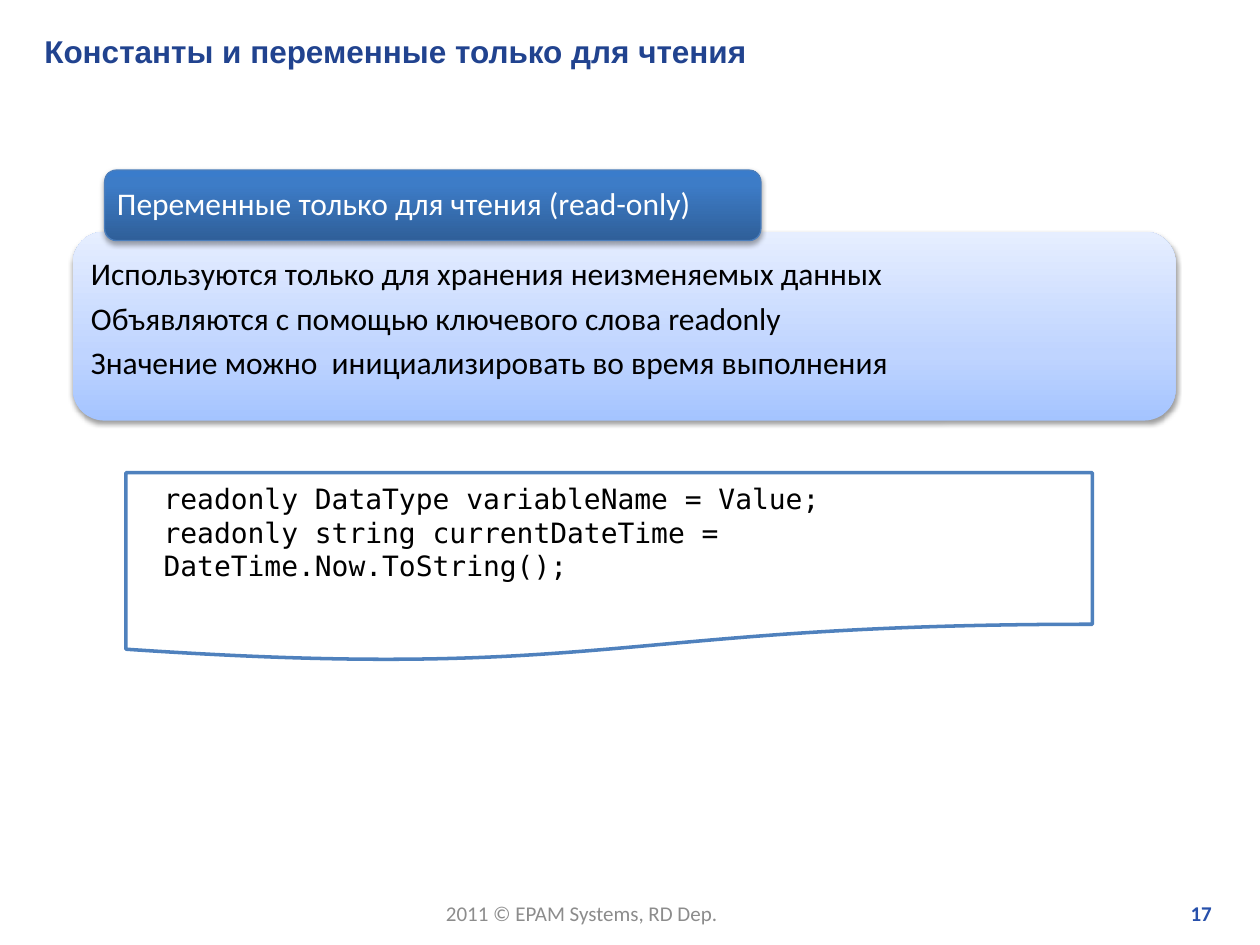
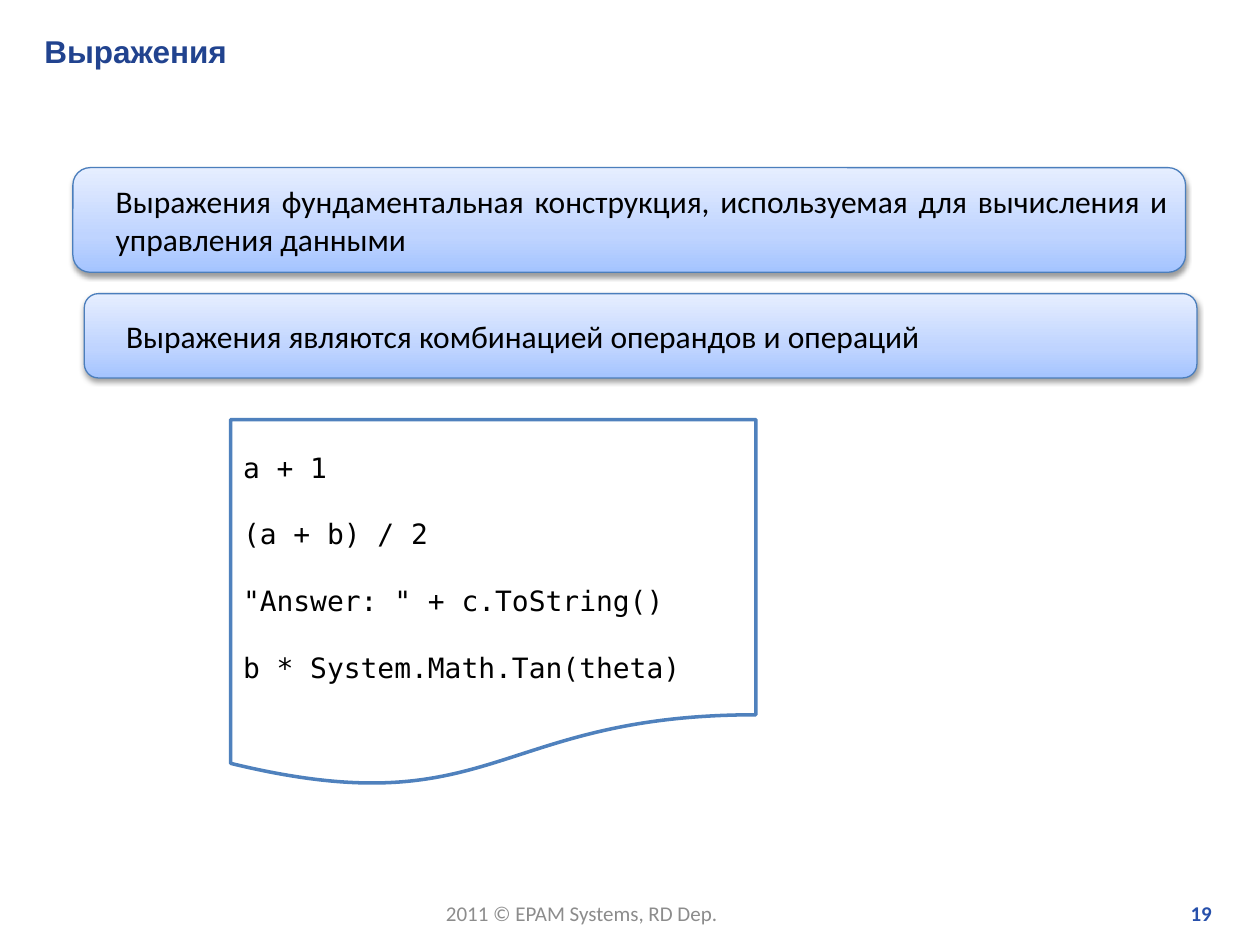
from lxml import etree
from pptx import Presentation
from pptx.dml.color import RGBColor
from pptx.enum import shapes, text
from pptx.oxml import ns
from pptx.util import Cm, Pt

TITLE_BLUE = RGBColor(0x21, 0x43, 0x8F)
PAGE_BLUE = RGBColor(0x27, 0x50, 0xAB)
FOOTER_GREY = RGBColor(0x8C, 0x8C, 0x8C)
EDGE_BLUE = RGBColor(0x4B, 0x7E, 0xBC)
CODE_BLUE = RGBColor(0x4F, 0x81, 0xBD)
BLACK = RGBColor(0, 0, 0)
WHITE = RGBColor(0xFF, 0xFF, 0xFF)

# Gradient stops run from the bottom edge to the top: (percent, colour)
PALE_STOPS = [(0, RGBColor(0xA4, 0xC4, 0xFF)), (35, RGBColor(0xBF, 0xD4, 0xFF)),
              (100, RGBColor(0xE6, 0xEE, 0xFF))]
DARK_STOPS = [(0, RGBColor(0x2F, 0x5F, 0x99)), (80, RGBColor(0x3D, 0x7C, 0xC7)),
              (100, RGBColor(0x3A, 0x7C, 0xCB))]

BODY_FONT, TITLE_FONT, CODE_FONT = "Calibri", "Arial", "DejaVu Sans Mono"
LEFT, RIGHT, JUSTIFY = text.PP_ALIGN.LEFT, text.PP_ALIGN.RIGHT, text.PP_ALIGN.JUSTIFY
MIDDLE = text.MSO_ANCHOR.MIDDLE
CODE_LINE = 19  # points taken by one line of code

TITLE_BOX = (0.64, 0.51, 24.23, 1.02)
FOOTER_BOX = (8.74, 18.03, 6.07, 0.76)
PAGE_BOX = (19.3, 18.03, 5.38, 0.76)


def cm(box):
    return [Cm(length) for length in box]


def write(frame, lines, font, size, color, bold=False, align=LEFT,
          before=0, after=0, spacing=1.0):
    frame.text = "\n".join(lines)
    for index, paragraph in enumerate(frame.paragraphs):
        paragraph.alignment = align
        paragraph.line_spacing = spacing
        paragraph.space_before = Pt(before if index else 0)
        paragraph.space_after = Pt(after)
        for run in paragraph.runs:
            run.font.name = font
            run.font.size = Pt(size)
            run.font.bold = bold
            run.font.color.rgb = color


def set_insets(frame, left, top, right, bottom):
    frame.margin_left, frame.margin_top = Cm(left), Cm(top)
    frame.margin_right, frame.margin_bottom = Cm(right), Cm(bottom)


def add_child(parent, tag, **attributes):
    child = etree.SubElement(parent, ns.qn(tag))
    for key, value in attributes.items():
        child.set(key, str(value))
    return child


def fill_gradient(shape, stops):
    shape.fill.gradient()
    shape.fill.gradient_angle = 90
    stop_list = shape._element.spPr.find(".//" + ns.qn("a:gsLst"))
    for old_stop in list(stop_list):
        stop_list.remove(old_stop)
    for percent, color in stops:
        stop = add_child(stop_list, "a:gs", pos=percent * 1000)
        add_child(stop, "a:srgbClr", val=color)


def drop_shadow(shape, opacity):
    shape.shadow.inherit = False
    effects = shape._element.spPr.find(ns.qn("a:effectLst"))
    shadow = add_child(effects, "a:outerShdw", blurRad=Pt(3.1), dist=Pt(1.7),
                       dir=90 * 60000, rotWithShape=0)
    color = add_child(shadow, "a:srgbClr", val=BLACK)
    add_child(color, "a:alpha", val=opacity * 1000)


def add_panel(slide, box, lines, insets, stops=PALE_STOPS, color=BLACK,
              outlined=True, opacity=38, after=0, spacing=1.0):
    """Rounded gradient panel with a soft shadow and justified text."""
    panel = slide.shapes.add_shape(shapes.MSO_SHAPE.ROUNDED_RECTANGLE, *cm(box))
    fill_gradient(panel, stops)
    if outlined:
        panel.line.color.rgb = EDGE_BLUE
        panel.line.width = Pt(0.75)
    else:
        panel.line.fill.background()
    drop_shadow(panel, opacity)
    frame = panel.text_frame
    frame.word_wrap = True
    frame.vertical_anchor = MIDDLE
    set_insets(frame, *insets)
    write(frame, lines, BODY_FONT, 18, color, align=JUSTIFY,
          after=after, spacing=spacing)


def add_headed_panel(slide, box, heading, lines):
    """Heading tab that overlaps the top edge of a larger panel."""
    left, top, _, _ = box
    add_panel(slide, box, lines, (0.18, 0.18, 0.18, 0.43), outlined=False,
              after=6, spacing=0.9)
    add_panel(slide, (left + 0.64, top - 1.24, 13.23, 1.42), [heading], (0.18,) * 4,
              stops=DARK_STOPS, color=WHITE, opacity=35, spacing=0.9)


def add_statement(slide, box, statement):
    add_panel(slide, box, [statement], (0.76, 0.13, 0.25, 0.13))


def add_code_sheet(slide, box, lines, left_inset=0.25, bottom_inset=0.13, before=0):
    sheet = slide.shapes.add_shape(shapes.MSO_SHAPE.FLOWCHART_DOCUMENT, *cm(box))
    sheet.shadow.inherit = False
    sheet.fill.solid()
    sheet.fill.fore_color.rgb = WHITE
    sheet.line.color.rgb = CODE_BLUE
    sheet.line.width = Pt(2)
    frame = sheet.text_frame
    frame.word_wrap = True
    frame.vertical_anchor = MIDDLE
    set_insets(frame, left_inset, 0.13, 0.25, bottom_inset)
    write(frame, lines, CODE_FONT, 16, BLACK, before=before)


def add_page(deck, title, number):
    """Slide with the shared title style, footer and page number."""
    slide = deck.slides.add_slide(deck.slide_layouts.get_by_name("Title Only"))
    heading = slide.shapes.title
    heading.left, heading.top, heading.width, heading.height = cm(TITLE_BOX)
    heading.text_frame.vertical_anchor = MIDDLE
    heading.text_frame.auto_size = text.MSO_AUTO_SIZE.NONE
    write(heading.text_frame, [title], TITLE_FONT, 18, TITLE_BLUE, bold=True)

    footer = slide.shapes.add_textbox(*cm(FOOTER_BOX)).text_frame
    write(footer, ["2011 © EPAM Systems, RD Dep."], BODY_FONT, 12, FOOTER_GREY)
    page = slide.shapes.add_textbox(*cm(PAGE_BOX)).text_frame
    page.word_wrap = True
    write(page, [str(number)], BODY_FONT, 12, PAGE_BLUE, bold=True, align=RIGHT)
    return slide


def build_readonly_slide(deck):
    slide = add_page(deck, "Константы и переменные только для чтения", 17)
    add_headed_panel(slide, (1.47, 4.67, 22.23, 3.81),
                     "Переменные только для чтения (read-only)",
                     ["Используются только для хранения неизменяемых данных",
                      "Объявляются с помощью ключевого слова readonly",
                      "Значение можно  инициализировать во время выполнения"])
    add_code_sheet(slide, (2.54, 9.53, 19.48, 3.81),
                   ["readonly DataType variableName = Value;",
                    "readonly string currentDateTime = DateTime.Now.ToString();"],
                   left_inset=0.76, bottom_inset=0.8)


def build_expressions_slide(deck):
    slide = add_page(deck, "Выражения", 19)
    add_statement(slide, (1.47, 3.38, 22.43, 2.11),
                  "Выражения фундаментальная конструкция, используемая "
                  "для вычисления и управления данными")
    add_statement(slide, (1.7, 5.92, 22.43, 1.7),
                  "Выражения являются комбинацией операндов и операций")
    add_code_sheet(slide, (4.65, 8.46, 10.59, 7.42),
                   ["a + 1", "(a + b) / 2", '"Answer: " + c.ToString()',
                    "b * System.Math.Tan(theta)"], before=CODE_LINE)


def main():
    deck = Presentation()
    deck.slide_width, deck.slide_height = Cm(25.4), Cm(19.05)
    build_readonly_slide(deck)
    build_expressions_slide(deck)
    deck.save("out.pptx")


if __name__ == "__main__":
    main()
